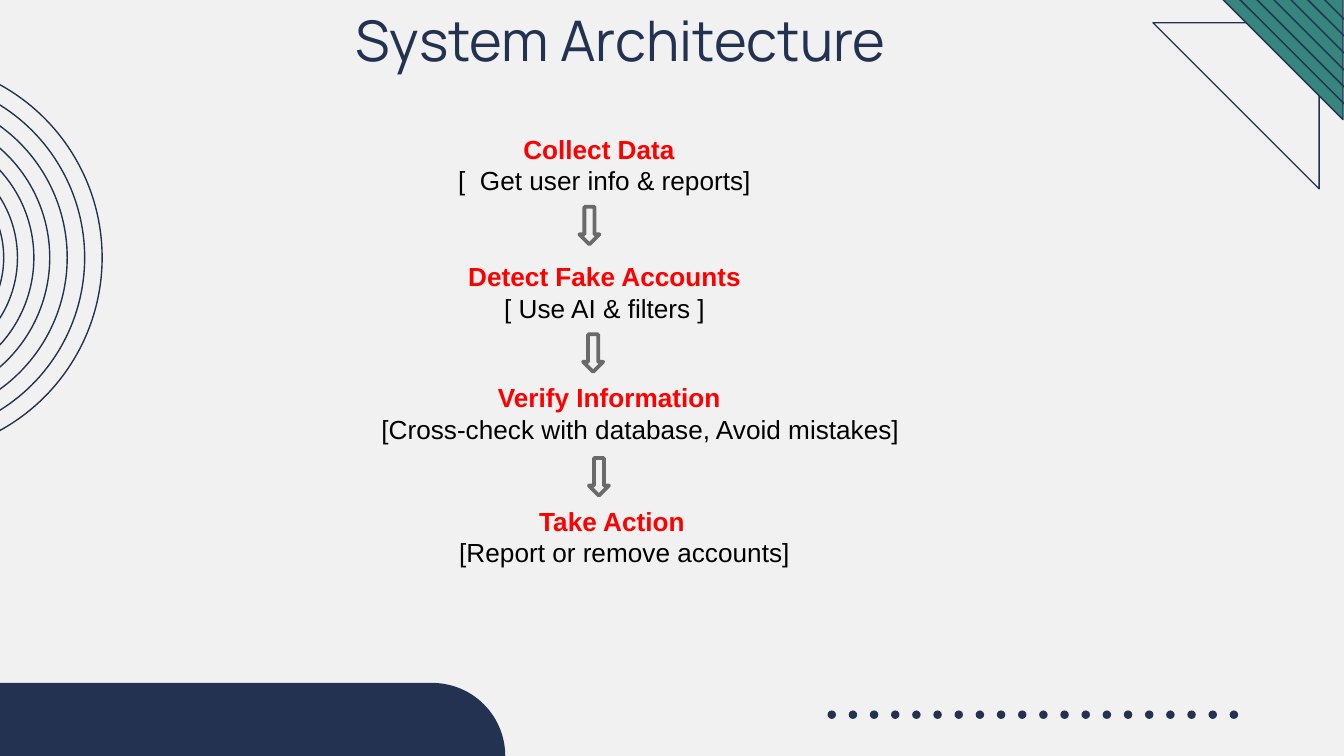
from math import cos, pi, sin

from lxml.etree import SubElement
from pptx import Presentation
from pptx.dml.color import RGBColor
from pptx.enum.shapes import MSO_CONNECTOR, MSO_SHAPE
from pptx.enum.text import MSO_ANCHOR, MSO_AUTO_SIZE, PP_ALIGN
from pptx.oxml.ns import qn
from pptx.util import Cm, Pt

COLORS = {
    "paper": "F1F1F1",
    "navy": "233251",
    "green": "36867D",
    "gray": "6A6A6A",
    "red": "FF0000",
    "black": "000000",
}

RING_RADII = [1.87, 2.13, 2.44, 2.74, 3.07, 3.4, 3.73]
RING_CENTER = (-1.8, 4.87)
STRIPE_GAP = 0.16
STRIPE_SPAN = 2.11
DOT_GAP = 0.4
STEPS = [
    (8.41, 2.39, 11.23, "Collect Data", 1.23, "[  Get user info & reports]", 0),
    (8.46, 4.8, 5.97, "Detect Fake Accounts", 0.14, "[ Use AI & filters ]", 0.82),
    (6.96, 7.09, 10.39, "Verify Information", 2.2,
     "[Cross-check with database, Avoid mistakes]", 0),
    (8.43, 9.42, 6.78, "Take Action", 1.51, "[Report or remove accounts]", 0),
]
ARROWS = [(10.95, 3.91), (11.02, 6.32), (11.13, 8.66)]


def color(name):
    return RGBColor.from_string(COLORS[name])


class SlideWriter:
    title_font = "Manrope"
    body_font = "Arial"
    body_size = Pt(14)
    line_pitch = Pt(16.8)

    def __init__(self, page):
        self.page = page
        page.background.fill.solid()
        page.background.fill.fore_color.rgb = color("paper")

    def paint(self, shape, fill=None, line=None, weight=0.75):
        shape.shadow.inherit = False
        if fill:
            shape.fill.solid()
            shape.fill.fore_color.rgb = color(fill)
        else:
            shape.fill.background()
        if line:
            shape.line.color.rgb = color(line)
            shape.line.width = Pt(weight)
        else:
            shape.line.fill.background()

    def shape(self, kind, left, top, width, height, fill=None, line=None, weight=0.75):
        shape = self.page.shapes.add_shape(
            kind, Cm(left), Cm(top), Cm(width), Cm(height))
        self.paint(shape, fill, line, weight)
        return shape

    def rounded_band(self, left, top, width, height, fill):
        bottom = top + height
        center = left + width - height
        angles = [step * pi / 60 for step in range(31)]
        arc = [(Cm(center + height * sin(angle)), Cm(bottom - height * cos(angle)))
               for angle in angles]
        builder = self.page.shapes.build_freeform(Cm(left), Cm(top))
        builder.add_line_segments(arc + [(Cm(left), Cm(bottom))], close=True)
        self.paint(builder.convert_to_shape(), fill)

    def corner_triangle(self, left, top, side, fill=None):
        triangle = self.shape(
            MSO_SHAPE.RIGHT_TRIANGLE, left, top, side, side, fill, "navy")
        triangle.rotation = 180

    def stripe(self, left, top, span):
        stripe = self.page.shapes.add_connector(
            MSO_CONNECTOR.STRAIGHT, Cm(left), Cm(top), Cm(left + span), Cm(top + span))
        stripe.line.color.rgb = color("navy")
        stripe.line.width = Pt(0.78)
        SubElement(stripe._element.spPr, qn("a:effectLst"))

    def title(self, text, left, top, width, height):
        title = self.page.shapes.title
        title.left, title.top = Cm(left), Cm(top)
        title.width, title.height = Cm(width), Cm(height)
        frame = title.text_frame
        frame.auto_size = MSO_AUTO_SIZE.NONE
        frame.vertical_anchor = MSO_ANCHOR.TOP
        frame.margin_left = frame.margin_top = frame.margin_bottom = Cm(0.25)
        frame.margin_right = Cm(0.53)
        frame.text = text
        paragraph = frame.paragraphs[0]
        paragraph.alignment = PP_ALIGN.CENTER
        paragraph.font.name = self.title_font
        paragraph.font.size = Pt(30)
        paragraph.font.color.rgb = color("navy")

    def step(self, left, top, width, heading, heading_indent, detail, detail_indent):
        box = self.page.shapes.add_textbox(Cm(left), Cm(top), Cm(width), Cm(1.45))
        frame = box.text_frame
        frame.word_wrap = True
        self.line(frame.paragraphs[0], heading, heading_indent, "red", True)
        self.line(frame.add_paragraph(), detail, detail_indent, "black", False)

    def line(self, paragraph, text, indent, tint, bold):
        paragraph.text = text
        paragraph.line_spacing = self.line_pitch
        paragraph.font.name = self.body_font
        paragraph.font.size = self.body_size
        paragraph.font.bold = bold
        paragraph.font.color.rgb = color(tint)
        paragraph._p.get_or_add_pPr().set("marL", str(int(Cm(indent))))


def main():
    deck = Presentation()
    deck.slide_width, deck.slide_height = Cm(25.4), Cm(14.29)
    writer = SlideWriter(deck.slides.add_slide(deck.slide_layouts[5]))

    writer.rounded_band(-0.03, 12.91, 9.58, 1.38, "navy")

    center_x, center_y = RING_CENTER
    for radius in RING_RADII:
        writer.shape(MSO_SHAPE.OVAL, center_x - radius, center_y - radius,
                     2 * radius, 2 * radius, line="navy")

    for index in range(20):
        writer.shape(MSO_SHAPE.OVAL, 15.64 + index * DOT_GAP, 13.43, 0.16, 0.16, "navy")

    writer.corner_triangle(21.79, 0.43, 3.14)
    writer.corner_triangle(23.09, -0.03, 2.29, "green")
    for index in range(6):
        shift = index * STRIPE_GAP
        writer.stripe(23.34 + shift, -0.1 - shift, STRIPE_SPAN)

    writer.title("System Architecture", 1.6, -0.15, 20.55, 1.6)
    for step in STEPS:
        writer.step(*step)
    for left, top in ARROWS:
        writer.shape(MSO_SHAPE.DOWN_ARROW, left, top, 0.38, 0.71, "paper", "gray", 2)

    deck.save("out.pptx")


if __name__ == "__main__":
    main()
